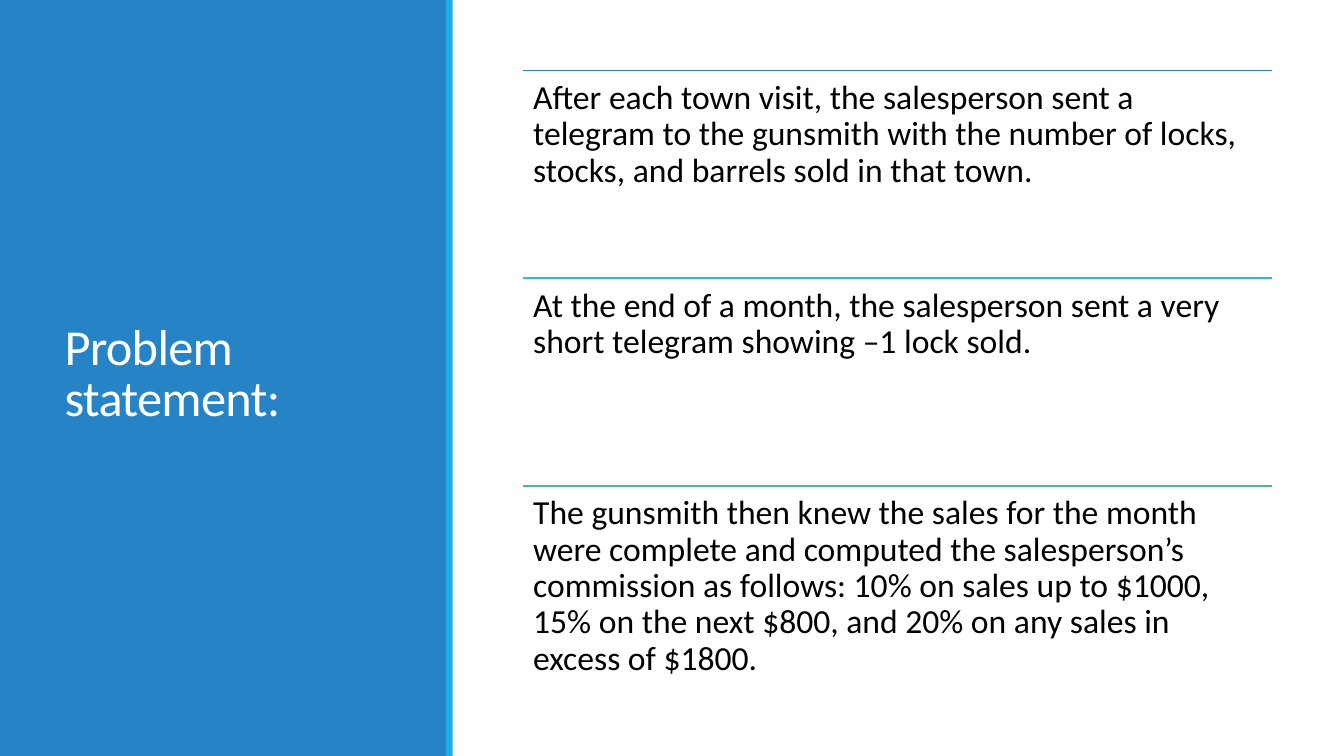
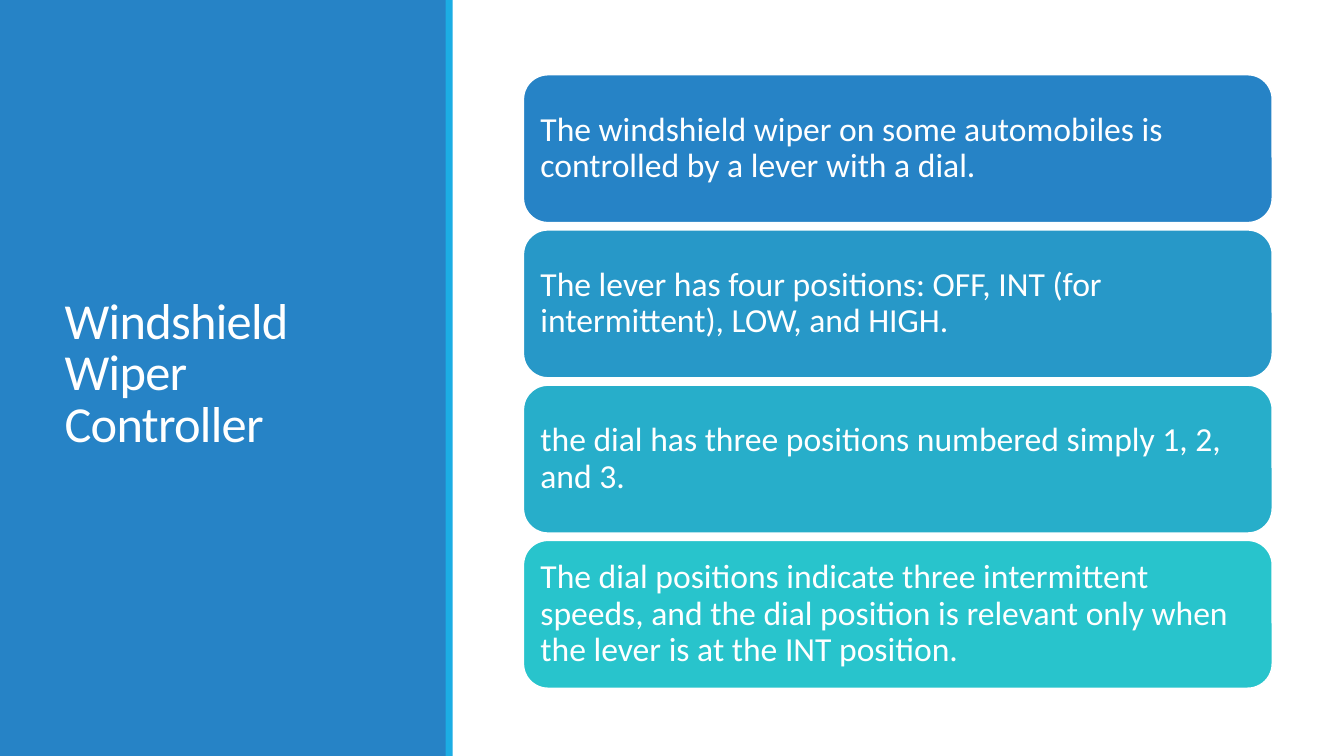
"""Build two slides with a coloured title panel and a list of statements."""
import pptx
import pptx.dml.color
import pptx.enum.shapes
import pptx.enum.text
import pptx.oxml
import pptx.oxml.ns
import pptx.util
from pptx.util import Inches

BLUE, SKY, WHITE, BLACK = "2683C6", "1CADE4", "FFFFFF", "000000"
FONT = "Calibri"
COLUMN_LEFT, COLUMN_WIDTH = 5.19, 7.43
RULE_TOP, RULE_PITCH = 0.7, 2.06
CARD_TOP, CARD_HEIGHT, CARD_GAP = 0.74, 1.47, 0.07

TITLES = ["Problem statement:", "Windshield Wiper Controller"]
STATEMENTS = [
    ("2683C6", "After each town visit, the salesperson sent a telegram to the gunsmith "
               "with the number of locks, stocks, and barrels sold in that town."),
    ("28C4CC", "At the end of a month, the salesperson sent a very short telegram "
               "showing –1 lock sold."),
    ("42BA97", "The gunsmith then knew the sales for the month were complete and computed "
               "the salesperson’s commission as follows: 10% on sales up to $1000, 15% on "
               "the next $800, and 20% on any sales in excess of $1800."),
]
WIPER_FACTS = [
    ("2683C6", "The windshield wiper on some automobiles is controlled by a lever with a dial."),
    ("2798C8", "The lever has four positions: OFF, INT (for intermittent), LOW, and HIGH."),
    ("27AECA", "the dial has three positions numbered simply 1, 2, and 3."),
    ("28C4CC", "The dial positions indicate three intermittent speeds, and the dial position "
               "is relevant only when the lever is at the INT position."),
]


def rgb(value):
    return pptx.dml.color.RGBColor.from_string(value)


def write(shape, text, size, color, spacing, anchor):
    frame = shape.text_frame
    frame.text = text
    frame.word_wrap = True
    frame.auto_size = pptx.enum.text.MSO_AUTO_SIZE.NONE
    frame.vertical_anchor = anchor
    frame.margin_left = frame.margin_right = Inches(0.1)
    frame.margin_top = frame.margin_bottom = Inches(0.1)
    paragraph = frame.paragraphs[0]
    paragraph.alignment = pptx.enum.text.PP_ALIGN.LEFT
    paragraph.line_spacing = spacing
    font = paragraph.runs[0].font
    font.name = FONT
    font.size = pptx.util.Pt(size)
    font.color.rgb = rgb(color)


TOP = pptx.enum.text.MSO_ANCHOR.TOP
MIDDLE = pptx.enum.text.MSO_ANCHOR.MIDDLE
SHAPES = pptx.enum.shapes.MSO_SHAPE

deck = pptx.Presentation()
deck.slide_width = Inches(13.33)
deck.slide_height = Inches(7.5)
layout = deck.slide_layouts.get_by_name("Title Only")
layout_title = layout.placeholders[0]
layout_title.left, layout_title.top = Inches(0.54), Inches(0.57)
layout_title.width, layout_title.height = Inches(3.37), Inches(6.31)

slides = []
for title in TITLES:
    slide = deck.slides.add_slide(layout)
    write(slide.shapes.title, title, 36, WHITE, 0.85, MIDDLE)
    slide.shapes.title.text_frame.paragraphs[0].runs[0].font._element.set("spc", "-50")
    slides.append(slide)
problem, wiper = slides

for order, (left, width, color) in enumerate([(0, 4.43, BLUE), (4.42, 0.07, SKY)]):
    band = problem.shapes.add_shape(
        SHAPES.RECTANGLE, Inches(left), 0, Inches(width), deck.slide_height)
    band.shadow.inherit = False
    band.fill.solid()
    band.fill.fore_color.rgb = rgb(color)
    band.line.fill.background()
    band.element.nvSpPr.cNvPr.id = 20 + order
    layout.shapes.element.insert(2 + order, band.element)

for row, (color, text) in enumerate(STATEMENTS):
    top = Inches(RULE_TOP + row * RULE_PITCH)
    rule = problem.shapes.add_connector(
        pptx.enum.shapes.MSO_CONNECTOR.STRAIGHT,
        Inches(COLUMN_LEFT), top, Inches(COLUMN_LEFT + COLUMN_WIDTH), top)
    rule.line.color.rgb = rgb(color)
    rule.line.width = pptx.util.Pt(1.25)
    rule.element.spPr.append(pptx.oxml.parse_xml(
        f"<a:effectLst {pptx.oxml.ns.nsdecls('a')}/>"))
    statement = problem.shapes.add_textbox(
        Inches(COLUMN_LEFT), top, Inches(COLUMN_WIDTH), Inches(RULE_PITCH))
    write(statement, text, 24, BLACK, 0.9, TOP)

for row, (color, text) in enumerate(WIPER_FACTS):
    card = wiper.shapes.add_shape(
        SHAPES.ROUNDED_RECTANGLE,
        Inches(COLUMN_LEFT), Inches(CARD_TOP + row * (CARD_HEIGHT + CARD_GAP)),
        Inches(COLUMN_WIDTH), Inches(CARD_HEIGHT))
    card.shadow.inherit = False
    card.fill.solid()
    card.fill.fore_color.rgb = rgb(color)
    card.line.color.rgb = rgb(WHITE)
    card.line.width = pptx.util.Pt(1.25)
    write(card, text, 24, WHITE, 0.9, MIDDLE)

deck.save("out.pptx")
